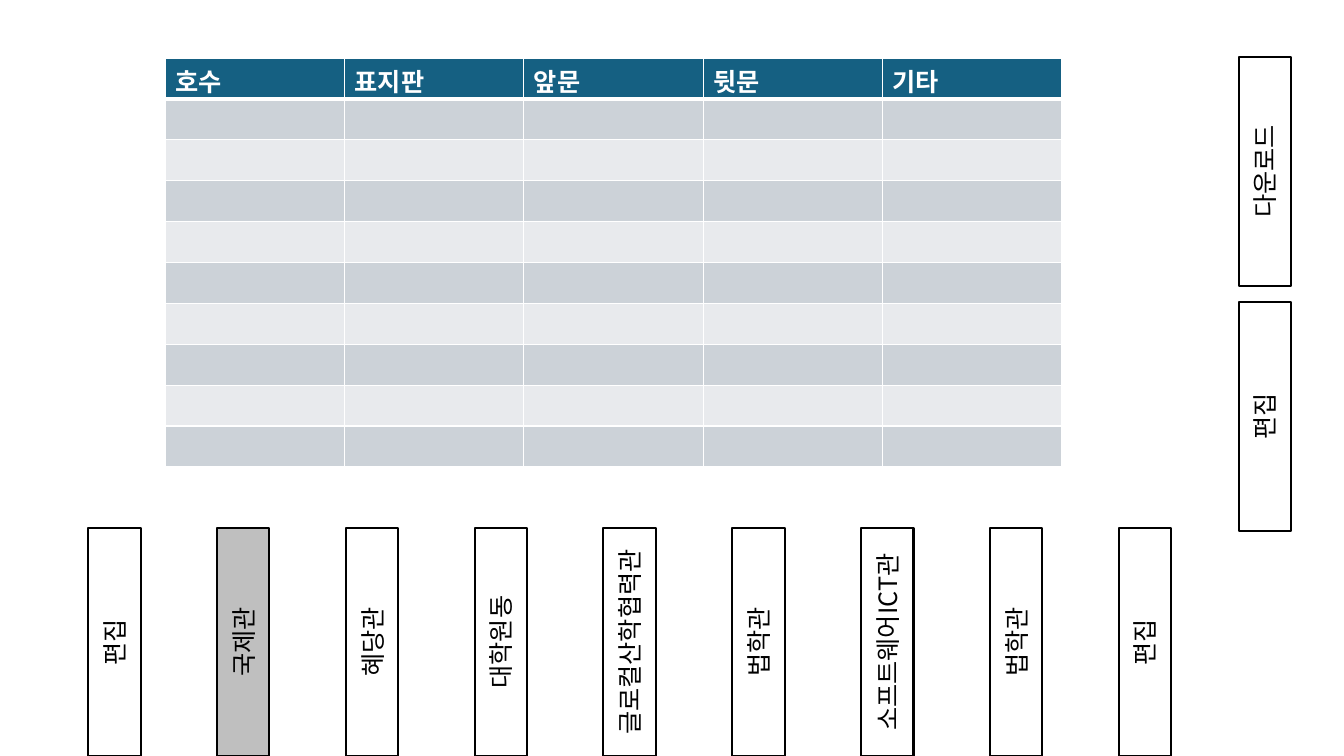
"""Build the slide with a sign inventory table and its sideways building tabs."""
from dataclasses import dataclass

from lxml.etree import SubElement
from pptx import Presentation
from pptx.dml.color import RGBColor
from pptx.enum.shapes import MSO_SHAPE as Preset
from pptx.enum.text import MSO_ANCHOR as Anchor, PP_ALIGN as Align
from pptx.oxml.ns import qn
from pptx.util import Inches, Pt

HEADERS = ["호수", "표지판", "앞문", "뒷문", "기타"]
BUILDINGS = ["편집", "국제관", "혜당관", "대학원동", "글로컬산학협력관",
             "법학관", "소프트웨어ICT관", "법학관", "편집"]
ACTIONS = ["다운로드", "편집"]
SELECTED = "국제관"

PAGE_WIDTH, PAGE_HEIGHT = 13.33, 7.5
TABLE_LEFT, TABLE_TOP, TABLE_WIDTH = 1.64, 0.58, 8.89
ROW_COUNT, ROW_HEIGHT = 10, 0.4
TAB_LENGTH, TAB_DEPTH = 2.27, 0.52
BUILDING_TOP, BUILDING_SPAN = 6.11, 10.22
ACTION_LEFT, ACTION_TOP, ACTION_PITCH = 11.41, 1.44, 2.43


@dataclass(frozen=True)
class Theme:
    """Colours, font and sizes."""
    font: str = "Noto Sans CJK KR"
    size: float = 18
    outline: float = 1.5
    grid: float = 1
    rule: float = 3
    ink: str = "000000"
    paper: str = "FFFFFF"
    header: str = "156082"
    bands: tuple = ("CCD2D8", "E8EAED")
    selected: str = "BFBFBF"


THEME = Theme()


def add_span(para, text, color, bold=False):
    """Add one styled run to a paragraph."""
    span = para.add_run()
    span.text = text
    span.font.size = Pt(THEME.size)
    span.font.bold = bold
    span.font.color.rgb = RGBColor.from_string(color)
    span.font.name = THEME.font
    SubElement(span.font._element, qn("a:ea"), typeface=THEME.font)


def add_tab(page, text, left, top):
    """Add a box turned to read upwards."""
    box = page.shapes.add_shape(Preset.RECTANGLE, Inches(left), Inches(top),
                                Inches(TAB_LENGTH), Inches(TAB_DEPTH))
    box.rotation = 270
    box.shadow.inherit = False
    if text == SELECTED:
        box.fill.solid()
        box.fill.fore_color.rgb = RGBColor.from_string(THEME.selected)
    else:
        box.fill.background()
    box.line.color.rgb = RGBColor.from_string(THEME.ink)
    box.line.width = Pt(THEME.outline)
    box.text_frame.word_wrap = True
    box.text_frame.vertical_anchor = Anchor.MIDDLE
    para = box.text_frame.paragraphs[0]
    para.alignment = Align.CENTER
    add_span(para, text, THEME.ink)


def style_cell(cell, row):
    """Give a cell its borders, then its fill."""
    properties = cell._tc.get_or_add_tcPr()
    heavy_side = {0: "lnB", 1: "lnT"}.get(row)
    for side in ("lnL", "lnR", "lnT", "lnB"):
        width = THEME.rule if side == heavy_side else THEME.grid
        line = SubElement(properties, qn(f"a:{side}"), w=str(Pt(width)))
        fill = SubElement(line, qn("a:solidFill"))
        SubElement(fill, qn("a:srgbClr"), val=THEME.paper)
    color = THEME.bands[(row - 1) % 2] if row else THEME.header
    cell.fill.solid()
    cell.fill.fore_color.rgb = RGBColor.from_string(color)


def add_inventory(page):
    """Add the banded table with its header row."""
    table = page.shapes.add_table(
        ROW_COUNT, len(HEADERS), Inches(TABLE_LEFT), Inches(TABLE_TOP),
        Inches(TABLE_WIDTH), Inches(ROW_COUNT * ROW_HEIGHT)).table
    for row in range(ROW_COUNT):
        table.rows[row].height = Inches(ROW_HEIGHT)
        for column, header in enumerate(HEADERS):
            cell = table.cell(row, column)
            style_cell(cell, row)
            if row == 0:
                cell.margin_top, cell.margin_bottom = Inches(0.04), 0
                add_span(cell.text_frame.paragraphs[0], header, THEME.paper, True)


def main():
    """Place the table and both groups of tabs, then save."""
    deck = Presentation()
    deck.slide_width, deck.slide_height = Inches(PAGE_WIDTH), Inches(PAGE_HEIGHT)
    page = deck.slides.add_slide(deck.slide_layouts[6])
    add_inventory(page)
    pitch = BUILDING_SPAN / (len(BUILDINGS) - 1)
    for index, building in enumerate(BUILDINGS):
        add_tab(page, building, index * pitch, BUILDING_TOP)
    for index, action in enumerate(ACTIONS):
        add_tab(page, action, ACTION_LEFT, ACTION_TOP + index * ACTION_PITCH)
    deck.save("out.pptx")


if __name__ == "__main__":
    main()
